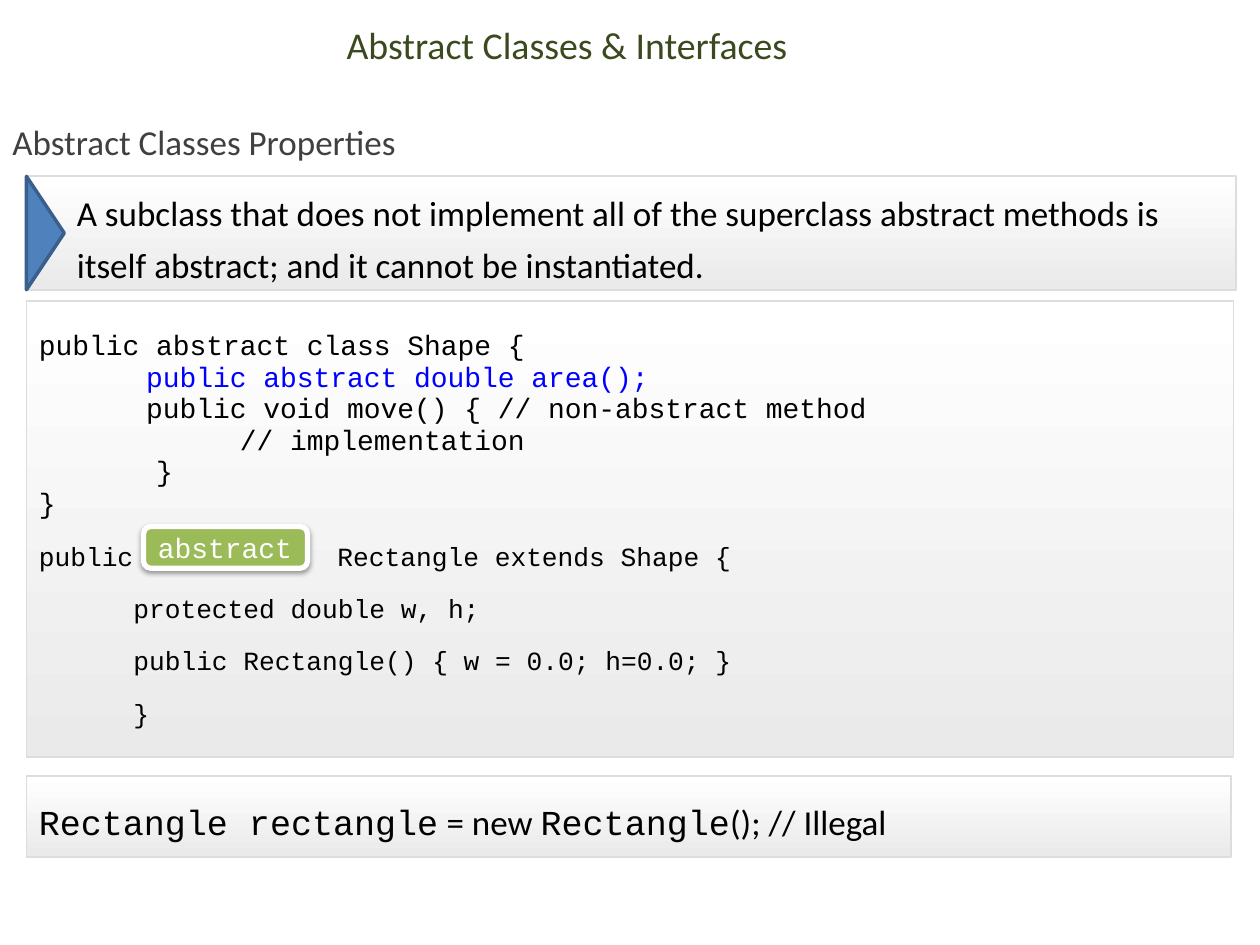
from dataclasses import dataclass
from lxml.etree import SubElement
from pptx import Presentation
from pptx.dml.color import RGBColor
from pptx.enum.shapes import MSO_SHAPE as Shape
from pptx.enum.text import MSO_ANCHOR as Anchor, PP_ALIGN as Align
from pptx.oxml.ns import qn
from pptx.util import Emu, Inches, Pt


@dataclass(frozen=True)
class Theme:
    sans: str = "Calibri"
    mono: str = "Courier New"
    title: str = "3B4A1E"
    heading: str = "404040"
    ink: str = "000000"
    keyword: str = "0000FF"
    white: str = "FFFFFF"
    shade: str = "EAEAEA"
    border: str = "DDDDDD"
    marker: str = "4F81BD"
    marker_edge: str = "3A5F8C"
    chip: str = "9BBB59"
    title_size: float = 21.6
    text_size: float = 20
    code_size: float = 16
    small_size: float = 15


THEME = Theme()
TITLE = "Abstract Classes & Interfaces"
HEADING = "Abstract Classes Properties"
RULE = ("A subclass that does not implement all of the superclass abstract methods "
        "is itself abstract; and it cannot be instantiated.")
SHAPE_CODE = [
    [("public abstract class Shape {", THEME.ink)],
    [("\t    ", THEME.ink), ("public abstract double area();", THEME.keyword)],
    [("\t    public void move() { // non-abstract method", THEME.ink)],
    [("            // implementation", THEME.ink)],
    [("       }", THEME.ink)],
    [("}", THEME.ink)],
]
RECTANGLE_CODE = [
    ("public\tRectangle extends Shape {", [2.37]),
    ("\tprotected double w, h;", [0.75]),
    ("\tpublic Rectangle() { w = 0.0; h=0.0; }", [0.75]),
    ("\t}", [0.75]),
]
CALL = [("Rectangle rectangle", THEME.mono), (" = new ", THEME.sans),
        ("Rectangle", THEME.mono), ("(); // Illegal", THEME.sans)]
CHIP = "abstract"

WIDTH, HEIGHT = 10, 7.5
PANEL_LEFT = 0.21
PANELS = {"rule": (1.4, 9.6, 0.9), "code": (2.39, 9.58, 3.62), "call": (6.16, 9.56, 0.64)}
MARKER_DEPTH = 0.3
CODE_TAB = 0.32


def color(value):
    return RGBColor.from_string(value)


def place(left, top, width, height):
    return [Inches(length) for length in (left, top, width, height)]


def outline(shape, value, points):
    shape.line.color.rgb = color(value)
    shape.line.width = Pt(points)


def add_figure(page, kind, area, fill, edge, points):
    shape = page.shapes.add_shape(kind, *place(*area))
    shape.shadow.inherit = False
    shape.fill.solid()
    shape.fill.fore_color.rgb = color(fill)
    outline(shape, edge, points)
    return shape


def add_panel(page, name, left_inset=0.1):
    top, width, height = PANELS[name]
    panel = add_figure(page, Shape.RECTANGLE, (PANEL_LEFT, top, width, height),
                       THEME.white, THEME.border, 1)
    panel.fill.gradient()
    panel.fill.gradient_angle = 270
    for stop, value in zip(panel.fill.gradient_stops, (THEME.white, THEME.shade)):
        stop.color.rgb = color(value)
    frame = panel.text_frame
    frame.word_wrap = True
    frame.vertical_anchor = Anchor.MIDDLE
    frame.margin_left = Inches(left_inset)
    frame.margin_top = frame.margin_right = frame.margin_bottom = Inches(0.1)
    return frame


def write(frame, spans, spacing=None, align=Align.LEFT, tabs=()):
    first = frame.paragraphs[0]
    para = frame.add_paragraph() if first.runs else first
    if tabs:
        stops = SubElement(para._p.get_or_add_pPr(), qn("a:tabLst"))
        for position in tabs:
            SubElement(stops, qn("a:tab"), pos=str(Inches(position)), algn="l")
    para.alignment = align
    if spacing:
        para.line_spacing = spacing
    for words, font, size, value in spans:
        span = para.add_run()
        span.text = words
        span.font.name = font
        span.font.size = Pt(size)
        span.font.color.rgb = color(value)


def add_shadow(shape, value, alpha, blur, distance):
    effects = shape._element.spPr.find(qn("a:effectLst"))
    shadow = SubElement(effects, qn("a:outerShdw"), blurRad=str(Pt(blur)),
                        dist=str(Pt(distance)), dir="5400000", rotWithShape="0")
    tone = SubElement(shadow, qn("a:srgbClr"), val=value)
    SubElement(tone, qn("a:alpha"), val=str(alpha * 1000))


def add_headings(page):
    title = page.shapes.title
    title.left, title.top, title.width, title.height = place(0, 0.14, 0.9 * WIDTH, 0.43)
    title.text_frame.vertical_anchor = Anchor.MIDDLE
    write(title.text_frame, [(TITLE, THEME.sans, THEME.title_size, THEME.title)],
          align=Align.CENTER)
    heading = page.shapes.add_textbox(*place(0, 0.74, 9.76, 0.54)).text_frame
    heading.word_wrap = True
    write(heading, [(HEADING, THEME.sans, THEME.text_size, THEME.heading)], 1.5)


def add_rule(page):
    frame = add_panel(page, "rule", 0.4)
    write(frame, [(RULE, THEME.sans, THEME.text_size, THEME.ink)], Pt(30))
    top, _, height = PANELS["rule"]
    shift = (height - MARKER_DEPTH) / 2
    marker = add_figure(page, Shape.ISOSCELES_TRIANGLE,
                        (PANEL_LEFT - shift, top + shift, height, MARKER_DEPTH),
                        THEME.marker, THEME.marker_edge, 2)
    marker.rotation = 90


def add_code(page):
    frame = add_panel(page, "code")
    for line in SHAPE_CODE:
        spans = [(words, THEME.mono, THEME.code_size, value) for words, value in line]
        write(frame, spans, Pt(18), tabs=[CODE_TAB])
    for words, tabs in RECTANGLE_CODE:
        write(frame, [(words, THEME.mono, THEME.small_size, THEME.ink)], Pt(30), tabs=tabs)


def add_call(page):
    spans = [(words, font, THEME.text_size, THEME.ink) for words, font in CALL]
    write(add_panel(page, "call"), spans, Pt(30), Align.JUSTIFY)


def add_chip(page):
    chip = add_figure(page, Shape.ROUNDED_RECTANGLE, (1.14, 4.18, 1.3, 0.33),
                      THEME.chip, THEME.white, 3)
    add_shadow(chip, THEME.ink, 38, 3.1, 1.6)
    chip.text_frame.vertical_anchor = Anchor.MIDDLE
    write(chip.text_frame, [(CHIP, THEME.mono, THEME.code_size, THEME.white)])


def main():
    deck = Presentation()
    deck.slide_width, deck.slide_height = Inches(WIDTH), Inches(HEIGHT)
    page = deck.slides.add_slide(deck.slide_layouts[5])
    for add_part in (add_headings, add_rule, add_code, add_call, add_chip):
        add_part(page)
    deck.save("out.pptx")


if __name__ == "__main__":
    main()
